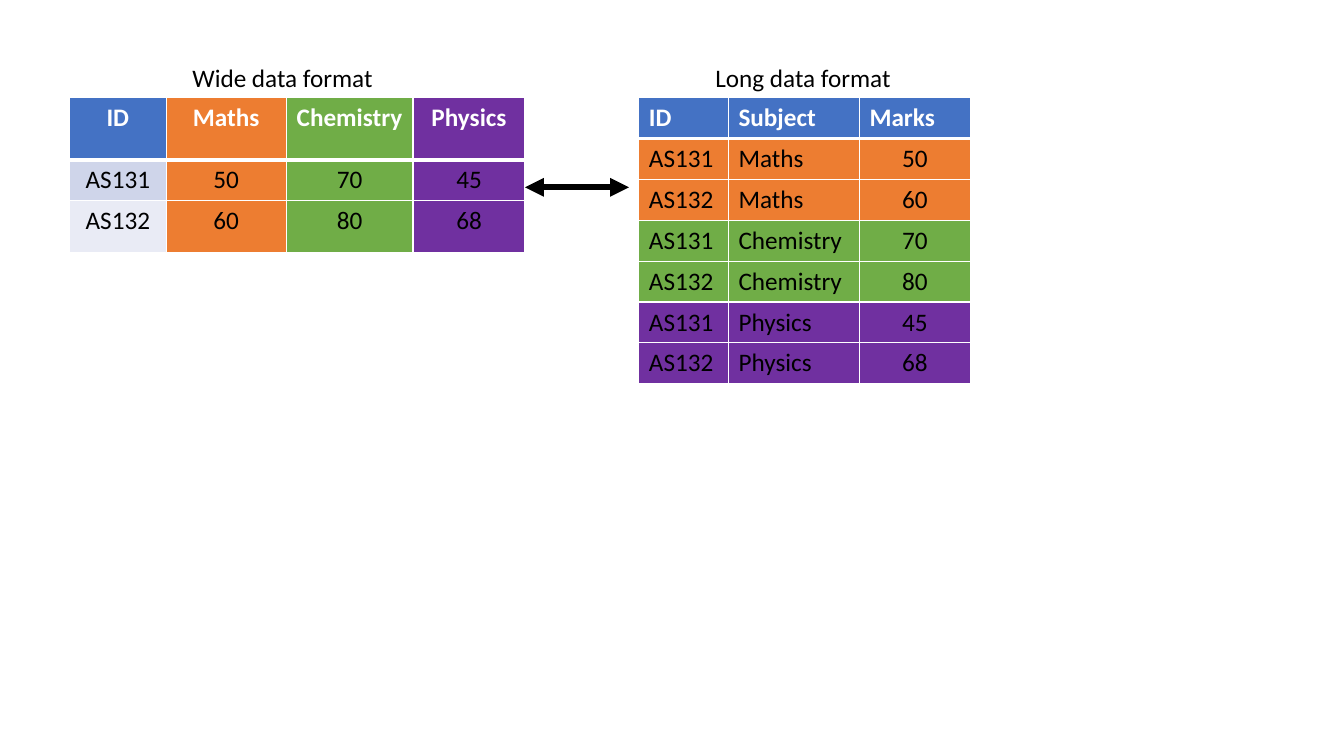
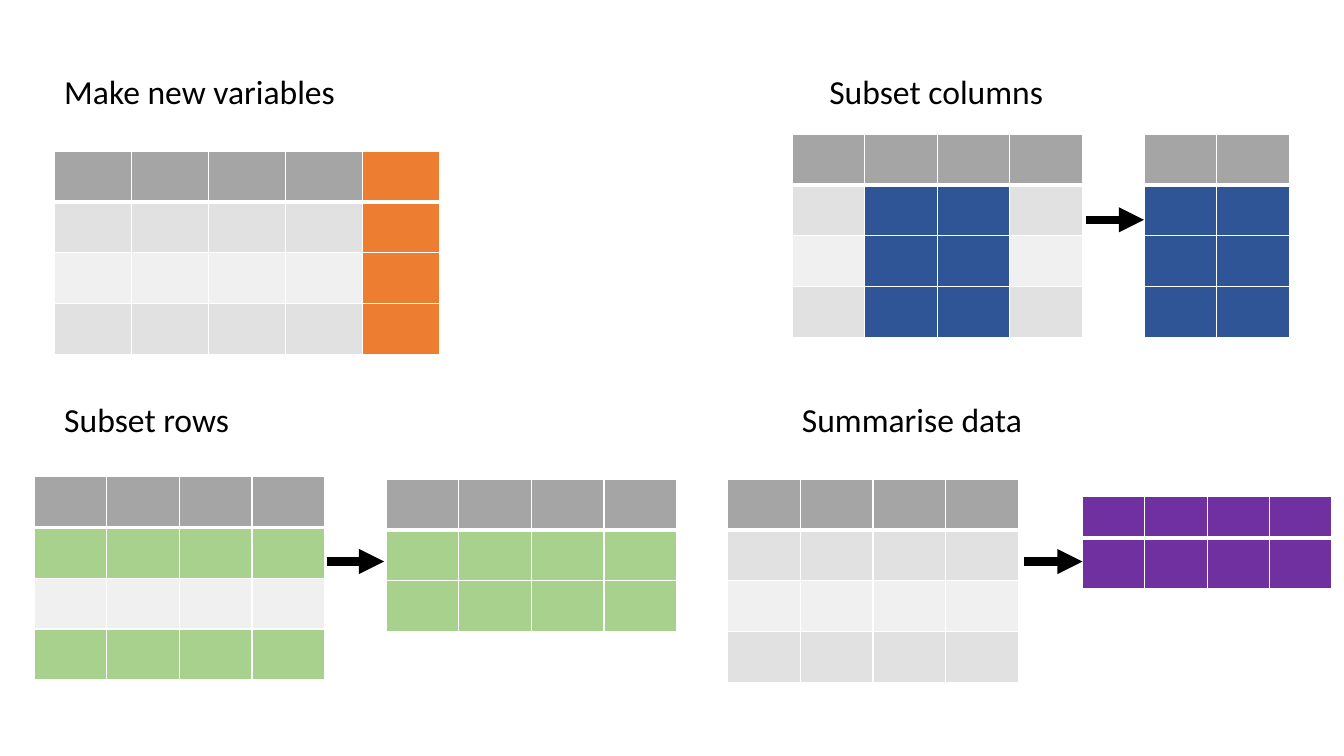
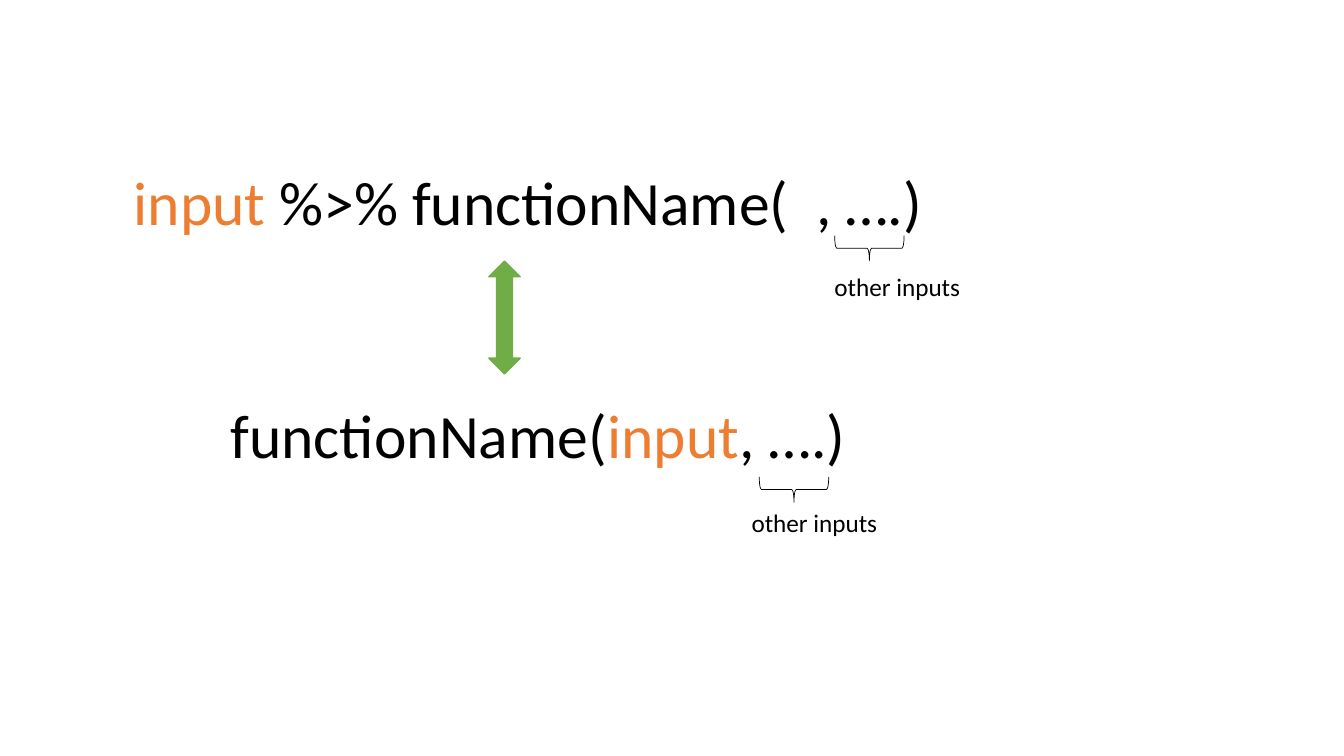
import pptx
import pptx.util
import pptx.dml.color
import pptx.enum.shapes
import pptx.enum.text
import pptx.oxml
import pptx.oxml.ns

Cm, Pt = pptx.util.Cm, pptx.util.Pt
SHAPE = pptx.enum.shapes.MSO_SHAPE
ALIGN = pptx.enum.text.PP_ALIGN

FONT = "Calibri"
COLOURS = {
    "black": "000000", "white": "FFFFFF", "blue": "4472C4", "navy": "2F5597",
    "orange": "ED7D31", "green": "70AD47", "light green": "A9D18E",
    "purple": "7030A0", "grey": "A5A5A5", "band": "E1E1E1",
    "pale band": "F0F0F0", "blue band": "CFD5EA", "pale blue band": "E9EBF5",
}

# Content: wide and long data (lengths in cm)
SUBJECTS = {"Maths": "orange", "Chemistry": "green", "Physics": "purple"}
MARKS = {"AS131": ["50", "70", "45"], "AS132": ["60", "80", "68"]}
ID_BANDS = ["blue band", "pale blue band"]
TABLE_TOP = 2.46
WIDE = {"left": 1.75, "columns": [2.44, 3.02, 3.2, 2.82], "rows": [1.57, 1.03, 1.3]}
LONG = {"left": 16.1, "columns": [2.26, 3.3, 2.79], "row": 1.03}
FORMAT_LABELS = [("Wide data format", 4.6, 5.1), ("Long data format", 17.78, 4.98)]
FORMAT_ARROW = (13.23, 15.85, 4.72)

# Content: data operations, one letter of a grid row for each cell
CELL_KEYS = {"h": "grey", "b": "band", "p": "pale band", "o": "orange",
             "g": "light green", "n": "navy", "v": "purple"}
GRID_COLUMN, GRID_ROW = 1.83, 1.28
OPERATIONS = [
    {"title": ("Make new variables", 1.37, 1.65, 8.31),
     "grids": [{"at": (1.37, 3.81), "cells": ["hhhho", "bbbbo", "ppppo", "bbbbo"],
                "column": 1.94}]},
    {"title": ("Subset columns", 20.65, 1.65, 5.94),
     "grids": [{"at": (19.96, 3.38), "cells": ["hhhh", "bnnb", "pnnp", "bnnb"]},
               {"at": (28.83, 3.38), "cells": ["hh", "nn", "nn", "nn"]}],
     "arrow": (27.38, 28.83, 5.54)},
    {"title": ("Subset rows", 1.37, 9.93, 5.94),
     "grids": [{"at": (0.86, 12.01), "cells": ["hhhh", "gggg", "pppp", "gggg"]},
               {"at": (9.73, 12.07), "cells": ["hhhh", "gggg", "gggg"]}],
     "arrow": (8.23, 9.68, 14.15)},
    {"title": ("Summarise data", 19.96, 9.93, 7.32),
     "grids": [{"at": (18.34, 12.07), "cells": ["hhhh", "bbbb", "pppp", "bbbb"]},
               {"at": (27.28, 12.52), "cells": ["vvvv", "vvvv"],
                "column": 1.57, "header": 1.03}],
     "arrow": (25.81, 27.28, 14.15)},
]

# Content: pipe notation and the equivalent call
CALLS = [
    {"at": (3.12, 4.01), "brace": (21.59, 5.38), "label": (20.78, 6.71),
     "code": [("input", "orange"), (" %>% functionName(  , ….)", "black")]},
    {"at": (5.56, 9.88), "brace": (19.69, 11.46), "label": (18.69, 12.65),
     "code": [("functionName(", "black"), ("input", "orange"), (", ….)", "black")]},
]
EQUIVALENCE_ARROW = (12.32, 6.58, 0.79, 2.84)


def rgb(name):
    return pptx.dml.color.RGBColor.from_string(COLOURS[name])


def add_run(paragraph, text, size, colour="black", bold=False):
    run = paragraph.add_run()
    run.text = text
    run.font.name, run.font.size, run.font.bold = FONT, Pt(size), bold
    run.font.color.rgb = rgb(colour)


def add_text(slide, box, runs, size, wrap=True):
    frame = slide.shapes.add_textbox(*map(Cm, box)).text_frame
    frame.word_wrap = wrap
    frame.auto_size = pptx.enum.text.MSO_AUTO_SIZE.SHAPE_TO_FIT_TEXT
    for text, colour in runs:
        add_run(frame.paragraphs[0], text, size, colour)


def add_arrow(slide, span, width, ends):
    start, end, y = span
    arrow = slide.shapes.add_connector(
        pptx.enum.shapes.MSO_CONNECTOR.STRAIGHT, Cm(start), Cm(y), Cm(end), Cm(y))
    arrow.line.color.rgb = rgb("black")
    arrow.line.width = Pt(width)
    line = arrow.line._get_or_add_ln()
    for end_tag in ends:
        pptx.oxml.ns.qn(end_tag)
        line.append(line.makeelement(pptx.oxml.ns.qn(end_tag), {"type": "triangle"}))
    properties = arrow._element.spPr
    properties.append(properties.makeelement(pptx.oxml.ns.qn("a:effectLst"), {}))


def set_borders(cell, row):
    """White rules, with a thick one below the header row."""
    widths = {"L": 1, "R": 1, "T": 3 if row == 1 else 1, "B": 3 if row == 0 else 1}
    properties = cell._tc.get_or_add_tcPr()
    for side, width in widths.items():
        properties.append(pptx.oxml.parse_xml(
            f'<a:ln{side} {pptx.oxml.ns.nsdecls("a")} w="{Pt(width)}"><a:solidFill>'
            f'<a:srgbClr val="{COLOURS["white"]}"/></a:solidFill></a:ln{side}>'))


def add_grid(slide, at, columns, rows, cells):
    """Each cell is a tuple of text, fill name and alignment."""
    box = (*at, sum(columns), sum(rows))
    table = slide.shapes.add_table(len(rows), len(columns), *map(Cm, box)).table
    table.first_row = table.horz_banding = False
    for column, width in zip(table.columns, columns):
        column.width = Cm(width)
    for r, (row, height) in enumerate(zip(table.rows, rows)):
        row.height = Cm(height)
        for cell, (text, fill, align) in zip(row.cells, cells[r]):
            set_borders(cell, r)
            cell.fill.solid()
            cell.fill.fore_color.rgb = rgb(fill)
            if text:
                paragraph = cell.text_frame.paragraphs[0]
                paragraph.alignment = align
                add_run(paragraph, text, 18, "black" if r else "white", bold=r == 0)


def build_formats(slide):
    fills = list(SUBJECTS.values())
    wide = [[("ID", "blue", ALIGN.CENTER)]
            + [(name, fill, ALIGN.CENTER) for name, fill in SUBJECTS.items()]]
    for (student, marks), band in zip(MARKS.items(), ID_BANDS):
        wide.append([(text, fill, ALIGN.CENTER)
                     for text, fill in zip([student] + marks, [band] + fills)])
    add_grid(slide, (WIDE["left"], TABLE_TOP), WIDE["columns"], WIDE["rows"], wide)

    long = [[(name, "blue", ALIGN.LEFT) for name in ("ID", "Subject", "Marks")]]
    for i, (subject, fill) in enumerate(SUBJECTS.items()):
        for student, marks in MARKS.items():
            long.append([(student, fill, ALIGN.LEFT), (subject, fill, ALIGN.LEFT),
                         (marks[i], fill, ALIGN.CENTER)])
    add_grid(slide, (LONG["left"], TABLE_TOP), LONG["columns"],
             [LONG["row"]] * len(long), long)

    for label, left, width in FORMAT_LABELS:
        add_text(slide, (left, 1.45, width, 1.02), [(label, "black")], 18, wrap=False)
    add_arrow(slide, FORMAT_ARROW, 4.5, ["a:headEnd", "a:tailEnd"])


def build_operations(slide):
    for operation in OPERATIONS:
        title, left, top, width = operation["title"]
        add_text(slide, (left, top, width, 1.27), [(title, "black")], 24)
        for grid in operation["grids"]:
            keys = grid["cells"]
            columns = [grid.get("column", GRID_COLUMN)] * len(keys[0])
            rows = [grid.get("header", GRID_ROW)] + [GRID_ROW] * (len(keys) - 1)
            cells = [[("", CELL_KEYS[key], None) for key in row] for row in keys]
            add_grid(slide, grid["at"], columns, rows, cells)
        if "arrow" in operation:
            add_arrow(slide, operation["arrow"], 6, ["a:tailEnd"])


def add_outline(slide, kind, box, colour, width):
    shape = slide.shapes.add_shape(kind, *map(Cm, box))
    shape.shadow.inherit = False
    shape.fill.background()
    shape.line.color.rgb = rgb(colour)
    shape.line.width = Pt(width)
    return shape


def build_calls(slide):
    for call in CALLS:
        add_text(slide, (*call["at"], 25.04, 2.13), call["code"], 44)
        brace = add_outline(slide, SHAPE.LEFT_BRACE, (*call["brace"], 0.64, 1.75),
                            "black", 0.5)
        brace.rotation = 270
        add_text(slide, (*call["label"], 3.71, 1.02), [("other inputs", "black")],
                 18, wrap=False)
    arrow = add_outline(slide, SHAPE.UP_DOWN_ARROW, EQUIVALENCE_ARROW, "green", 1)
    arrow.fill.solid()
    arrow.fill.fore_color.rgb = rgb("green")


def main():
    deck = pptx.Presentation()
    deck.slide_width, deck.slide_height = Cm(33.87), Cm(19.05)
    for build in (build_formats, build_operations, build_calls):
        build(deck.slides.add_slide(deck.slide_layouts[6]))
    deck.save("out.pptx")


if __name__ == "__main__":
    main()
